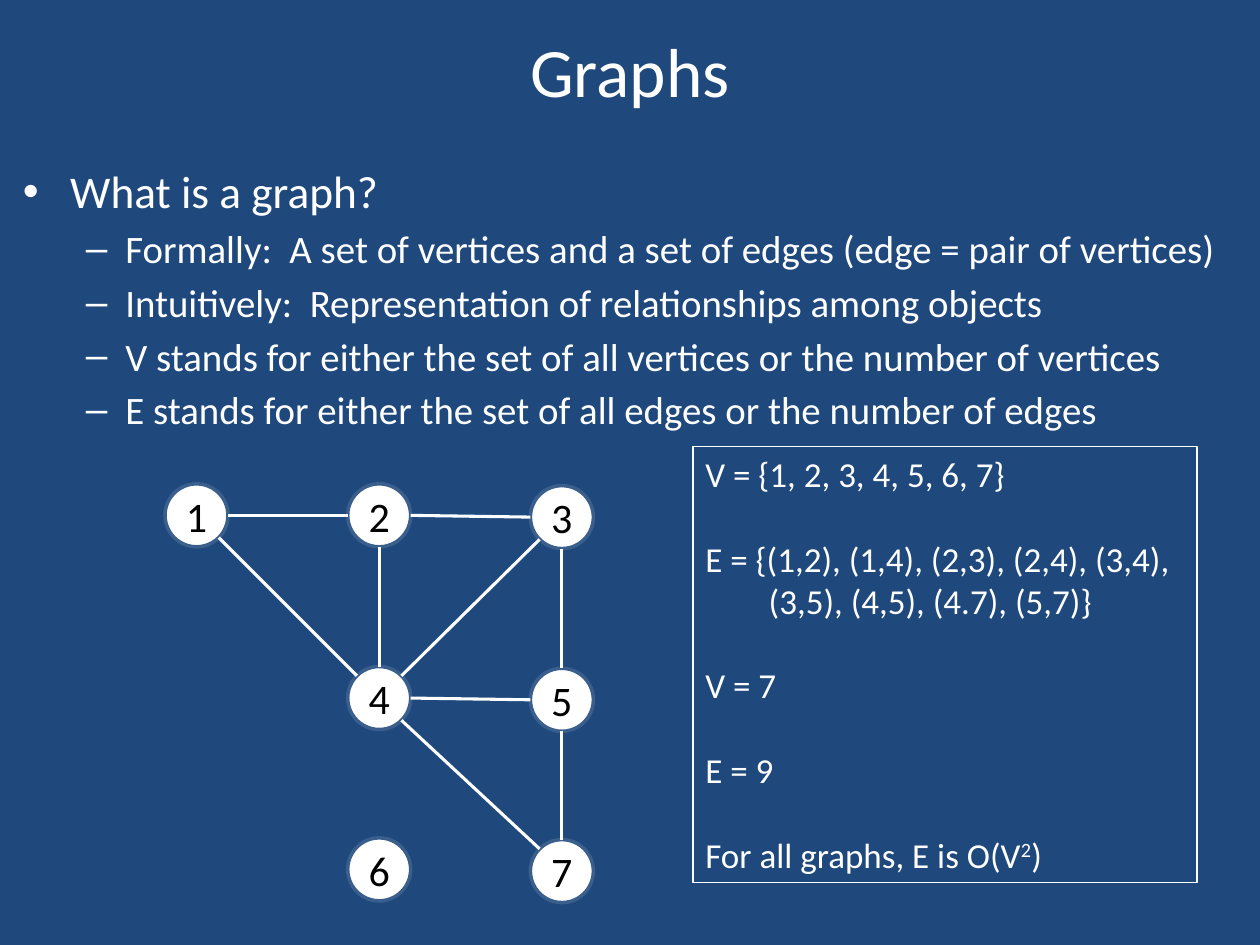
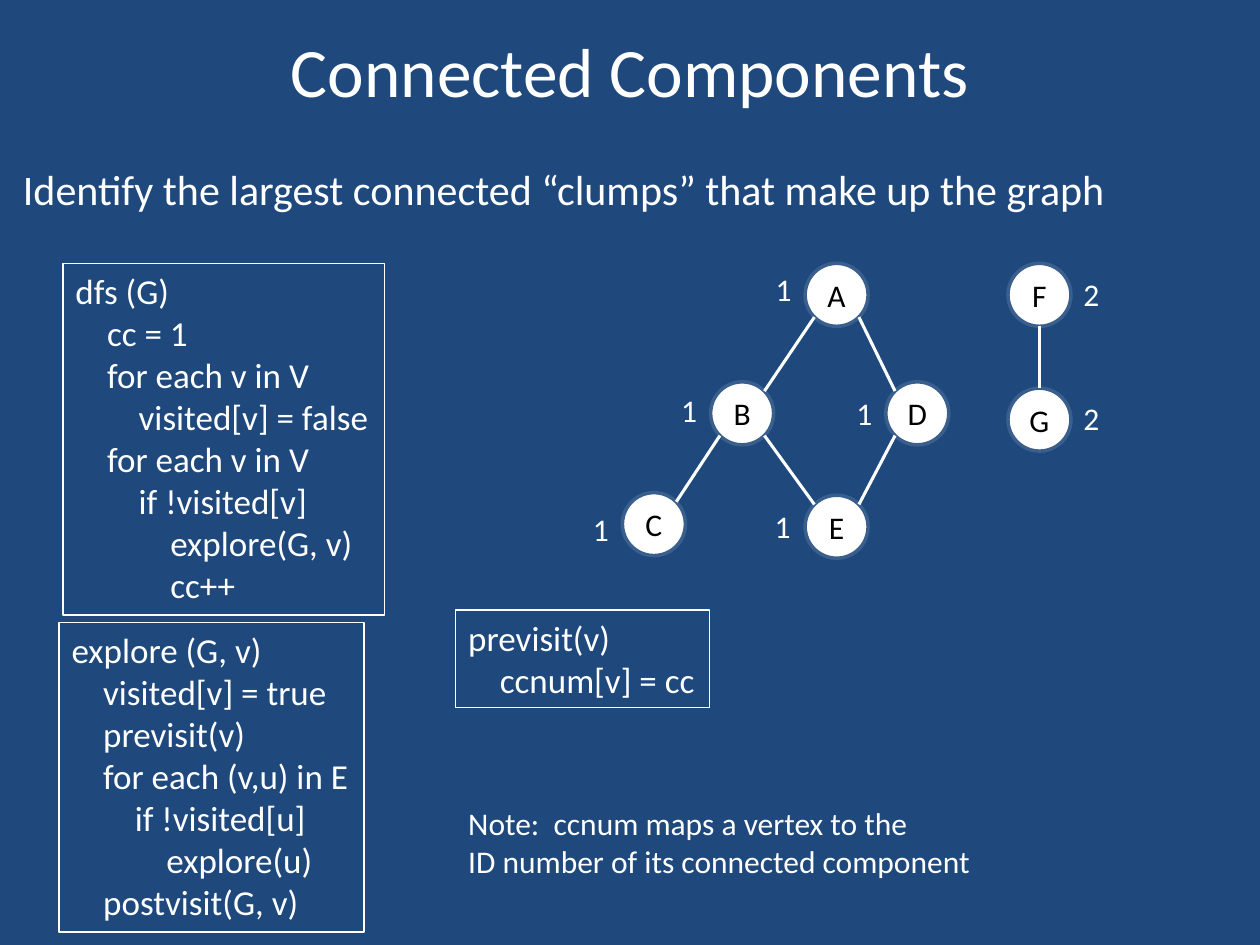
from math import hypot

from lxml import etree
from pptx import Presentation
from pptx.dml.color import RGBColor
from pptx.enum.shapes import MSO_CONNECTOR, MSO_SHAPE
from pptx.enum.text import MSO_ANCHOR, PP_ALIGN
from pptx.oxml.ns import qn
from pptx.util import Pt

BACKGROUND, WHITE, BLACK, NODE_RIM = "1F497D", "FFFFFF", "000000", "3A5F8C"
FONT = "Calibri"
NODE_SIZE = 36
LABEL_WIDTH, LABEL_HEIGHT = 24, 29
TITLE_BOX = (36, 12, 648, 56)
BODY_LEFT, BODY_TOP, BODY_WIDTH = 6, 90, 702

# Bullet levels: character, text indent, hanging indent, size
LEVELS = [("•", 27, -27, 25.9), ("–", 58.5, -22.5, 22.2)]

QUESTION = [
    (0, "What is a graph?"),
    (1, "Formally:  A set of vertices and a set of edges (edge = pair of vertices)"),
    (1, "Intuitively:  Representation of relationships among objects"),
    (1, "V stands for either the set of all vertices or the number of vertices"),
    (1, "E stands for either the set of all edges or the number of edges"),
]

# Set notation: text, gap before, left indent
NOTATION = [
    ("V = {1, 2, 3, 4, 5, 6, 7}", 0, 0),
    ("E = {(1,2), (1,4), (2,3), (2,4), (3,4),", 24.4, 0),
    ("(3,5), (4,5), (4.7), (5,7)}", 0, 36.2),
    ("V = 7", 24.4, 0),
    ("E = 9", 24.4, 0),
    ("For all graphs, E is O(V", 24.4, 0),
]

# Numbered graph on a grid of three columns and three rows
COLUMN_STEP = 104.4
ROW_TOPS = (0, 104.4, 202.3)
GRID_CELLS = {"1": (0, 0), "2": (1, 0), "3": (2, 0), "4": (1, 1),
              "5": (2, 1), "6": (1, 2), "7": (2, 2)}
NUMBERED_NODES = {name: (column * COLUMN_STEP, ROW_TOPS[row] + (column == 2))
                  for name, (column, row) in GRID_CELLS.items()}
NUMBERED_EDGES = "12 14 23 24 34 35 45 47 57".split()

# Lettered graph with the component number of each node
LETTERED_NODES = {"A": (104.4, 0), "B": (50.4, 67.7), "C": (0, 131),
                  "D": (150.5, 67.7), "E": (104.4, 132.5),
                  "F": (220.3, 0), "G": (220.3, 71.3)}
LETTERED_EDGES = "AB AD BC BE DE FG".split()
# Node: component number, offset from the node's left and top
COMPONENTS = {"A": ("1", -24, 0), "B": ("1", -24, 1.4), "C": ("1", -24, 6.5),
              "D": ("1", -24, 3.6), "E": ("1", -24.5, 2.9),
              "F": ("2", 36, 2.9), "G": ("2", 36, 2.9)}

DFS_CODE = """dfs (G)
    cc = 1
    for each v in V
        visited[v] = false
    for each v in V
        if !visited[v]
            explore(G, v)
            cc++"""
EXPLORE_CODE = """explore (G, v)
    visited[v] = true
    previsit(v)
    for each (v,u) in E
        if !visited[u]
            explore(u)
    postvisit(G, v)"""
PREVISIT_CODE = """previsit(v)
    ccnum[v] = cc"""
NOTE = """Note:  ccnum maps a vertex to the
ID number of its connected component"""


def color(value):
    return RGBColor.from_string(value)


def apply(target, formats):
    for name, value in formats.items():
        setattr(target, name, value)


def style(paragraph, size, text_color=WHITE, **formats):
    apply(paragraph, formats)
    apply(paragraph.font, {"size": Pt(size), "name": FONT})
    paragraph.font.color.rgb = color(text_color)


def add_paragraph(frame, index):
    return frame.add_paragraph() if index else frame.paragraphs[0]


def add_text_box(shapes, box, wrap=True, outlined=False):
    shape = shapes.add_textbox(*map(Pt, box))
    shape.text_frame.word_wrap = wrap
    if outlined:
        shape.line.color.rgb = color(WHITE)
        shape.line.width = Pt(0.75)
    return shape.text_frame


def add_lines(shapes, box, text, size, outlined=False):
    frame = add_text_box(shapes, box, wrap=False, outlined=outlined)
    for index, line in enumerate(text.split("\n")):
        paragraph = add_paragraph(frame, index)
        paragraph.text = line
        style(paragraph, size)


def add_title_slide(presentation, title):
    slide = presentation.slides.add_slide(presentation.slide_layouts[6])
    slide.background.fill.solid()
    slide.background.fill.fore_color.rgb = color(BACKGROUND)
    frame = add_text_box(slide.shapes, TITLE_BOX)
    frame.vertical_anchor = MSO_ANCHOR.MIDDLE
    frame.text = title
    style(frame.paragraphs[0], 39.6, alignment=PP_ALIGN.CENTER)
    return slide


def add_bullets(slide, box, items):
    frame = add_text_box(slide.shapes, box)
    for index, (level, text) in enumerate(items):
        character, margin, hanging, size = LEVELS[level]
        paragraph = add_paragraph(frame, index)
        paragraph.text = text
        properties = paragraph._p.get_or_add_pPr()
        properties.set("marL", str(Pt(margin)))
        properties.set("indent", str(Pt(hanging)))
        bullet_font = etree.SubElement(properties, qn("a:buFont"))
        bullet_font.set("typeface", "Arial")
        etree.SubElement(properties, qn("a:buChar")).set("char", character)
        style(paragraph, size, level=level, space_before=Pt(4 if index else 0))


def add_notation(slide, box):
    frame = add_text_box(slide.shapes, box, outlined=True)
    for index, (text, gap, margin) in enumerate(NOTATION):
        paragraph = add_paragraph(frame, index)
        paragraph.text = text
        paragraph._p.get_or_add_pPr().set("marL", str(Pt(margin)))
        style(paragraph, 20, space_before=Pt(gap))
    # Exponent and closing bracket of the last line
    for text, baseline in (("2", "30000"), (")", "0")):
        run = paragraph.add_run()
        run.text = text
        run._r.get_or_add_rPr().set("baseline", baseline)


def add_node(shapes, left, top, name, size):
    node = shapes.add_shape(MSO_SHAPE.OVAL, Pt(left), Pt(top), Pt(NODE_SIZE), Pt(NODE_SIZE))
    node.shadow.inherit = False
    node.fill.solid()
    node.fill.fore_color.rgb = color(WHITE)
    node.line.color.rgb = color(NODE_RIM)
    node.line.width = Pt(2)
    frame = node.text_frame
    apply(frame, {"margin_left": 0, "margin_right": 0, "margin_top": 0, "margin_bottom": 0,
                  "word_wrap": False, "vertical_anchor": MSO_ANCHOR.MIDDLE})
    frame.text = name
    style(frame.paragraphs[0], size, BLACK, alignment=PP_ALIGN.CENTER)


def direction(distance):
    """Return -1, 0 or 1, taking nearly aligned nodes as aligned."""
    return 0 if abs(distance) < 5 else (1 if distance > 0 else -1)


def add_edge(shapes, start, end):
    """Join the rims of two nodes at the nearest of their eight compass points."""
    step_x, step_y = (direction(b - a) for a, b in zip(start, end))
    radius = NODE_SIZE / 2
    reach = radius / hypot(step_x, step_y)
    points = [position + radius + sign * reach * step
              for node, sign in ((start, 1), (end, -1))
              for position, step in zip(node, (step_x, step_y))]
    edge = shapes.add_connector(MSO_CONNECTOR.STRAIGHT, *map(Pt, points))
    edge.line.color.rgb = color(WHITE)
    edge.line.width = Pt(1.75)
    etree.SubElement(edge._element.spPr, qn("a:effectLst"))


def add_graph(shapes, left, top, nodes, edges, size):
    places = {name: (left + x, top + y) for name, (x, y) in nodes.items()}
    for name, place in places.items():
        add_node(shapes, *place, name, size)
    for first, second in edges:
        add_edge(shapes, places[first], places[second])
    return places


def add_component_numbers(shapes, places):
    for name, (number, shift_x, shift_y) in COMPONENTS.items():
        x, y = places[name]
        add_lines(shapes, (x + shift_x, y + shift_y, LABEL_WIDTH, LABEL_HEIGHT), number, 18)


def build_graphs_slide(presentation):
    slide = add_title_slide(presentation, "Graphs")
    add_bullets(slide, (BODY_LEFT, BODY_TOP, BODY_WIDTH, 144), QUESTION)
    group = slide.shapes.add_group_shape()
    add_graph(group.shapes, 94.3, 276.5, NUMBERED_NODES, NUMBERED_EDGES, 24)
    add_notation(slide, (396, 255, 288, 249.5))


def build_components_slide(presentation):
    slide = add_title_slide(presentation, "Connected Components")
    shapes = slide.shapes
    frame = add_text_box(shapes, (BODY_LEFT, BODY_TOP, BODY_WIDTH, 48))
    frame.text = "Identify the largest connected “clumps” that make up the graph"
    style(frame.paragraphs[0], 24)
    # Graph with component numbers
    places = add_graph(shapes, 355.7, 150.5, LETTERED_NODES, LETTERED_EDGES, 18)
    add_component_numbers(shapes, places)
    # Pseudocode and note
    for box, code in (((33.8, 355.7, 174.2, 177), EXPLORE_CODE),
                      ((36, 150.5, 183.6, 201), DFS_CODE),
                      ((260.5, 348.5, 144.8, 55.7), PREVISIT_CODE)):
        add_lines(shapes, box, code, 20, outlined=True)
    add_lines(shapes, (260.5, 455.8, 305.3, 51), NOTE, 18)


def main():
    presentation = Presentation()
    apply(presentation, {"slide_width": Pt(720), "slide_height": Pt(540)})
    build_graphs_slide(presentation)
    build_components_slide(presentation)
    presentation.save("out.pptx")


if __name__ == "__main__":
    main()
